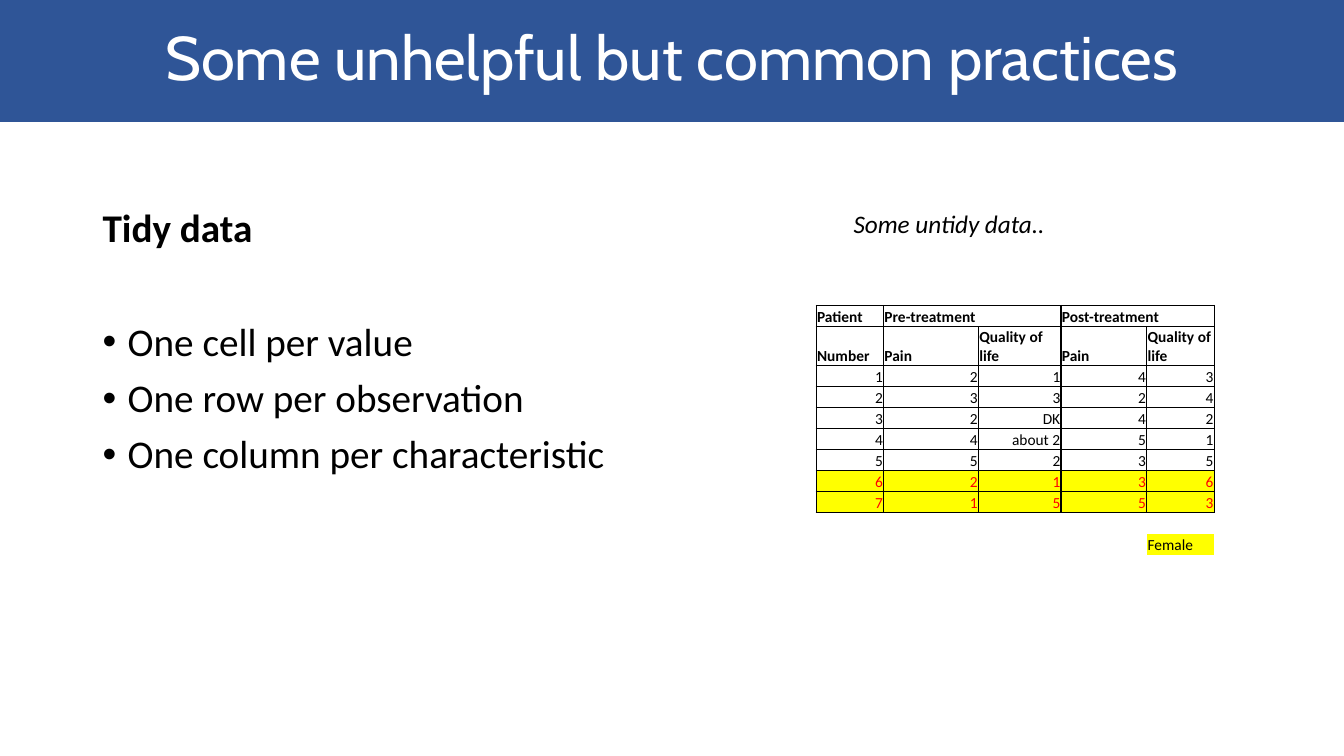
from dataclasses import dataclass

import lxml.etree
import pptx
import pptx.dml.color
import pptx.enum.text
import pptx.oxml.ns
import pptx.util
from pptx.util import Cm, Pt

RGBColor = pptx.dml.color.RGBColor
Align = pptx.enum.text.PP_ALIGN
Anchor = pptx.enum.text.MSO_ANCHOR
AutoSize = pptx.enum.text.MSO_AUTO_SIZE
qn = pptx.oxml.ns.qn

BLUE = RGBColor(0x2F, 0x55, 0x97)
WHITE = RGBColor(0xFF, 0xFF, 0xFF)
BLACK = RGBColor(0, 0, 0)
RED = RGBColor(0xFF, 0, 0)
YELLOW = RGBColor(0xFF, 0xFF, 0)

PLAIN_TABLE_STYLE = "{2D5ABB26-0587-4C30-8999-92F81FD0307C}"
COLUMN_WIDTHS = (1.7, 2.39, 2.08, 2.16, 1.7)
ROW_HEIGHT = 0.53
INSET = 0.02


@dataclass
class TextStyle:
    size: float
    color: RGBColor = BLACK
    font: str = "Calibri"
    bold: bool = False
    italic: bool = False


@dataclass
class TableRow:
    values: tuple[str, ...]
    style: TextStyle
    align: Align = Align.RIGHT
    fill: RGBColor | None = None
    bordered: bool = True


def format_text(para, style: TextStyle) -> None:
    for span in para.runs:
        span.font.name = style.font
        span.font.size = Pt(style.size)
        span.font.bold = style.bold
        span.font.italic = style.italic
        span.font.color.rgb = style.color


def place(shape, left: float, top: float, width: float, height: float) -> None:
    shape.left, shape.top = Cm(left), Cm(top)
    shape.width, shape.height = Cm(width), Cm(height)


def set_bullet(para, bulleted: bool) -> None:
    properties = para._p.get_or_add_pPr()
    indent = Cm(0.635) if bulleted else 0
    properties.set("marL", str(indent))
    properties.set("indent", str(-indent))
    if bulleted:
        lxml.etree.SubElement(properties, qn("a:buFont"), typeface="Arial")
        lxml.etree.SubElement(properties, qn("a:buChar"), char="•")
    else:
        lxml.etree.SubElement(properties, qn("a:buNone"))


def add_borders(cell) -> None:
    properties = cell._tc.get_or_add_tcPr()
    for side in ("a:lnL", "a:lnR", "a:lnT", "a:lnB"):
        line = lxml.etree.SubElement(properties, qn(side), w=str(Pt(1)))
        fill = lxml.etree.SubElement(line, qn("a:solidFill"))
        lxml.etree.SubElement(fill, qn("a:srgbClr"), val=str(BLACK))


def fill_cell(cell, value: str, row: TableRow) -> None:
    cell.margin_left = cell.margin_right = cell.margin_top = Cm(INSET)
    cell.margin_bottom = 0
    cell.vertical_anchor = Anchor.BOTTOM
    if row.bordered:
        add_borders(cell)
    if row.fill is not None and value:
        cell.fill.solid()
        cell.fill.fore_color.rgb = row.fill
    else:
        cell.fill.background()
    para = cell.text_frame.paragraphs[0]
    para.alignment = row.align
    if value:
        para.text = value
        format_text(para, row.style)
    else:
        # Keeps an empty cell as low as the others
        lxml.etree.SubElement(para._p, qn("a:endParaRPr"), sz=str(int(row.style.size * 100)))


def add_patient_table(page, rows: list[TableRow], left: float, top: float) -> None:
    frame = page.shapes.add_table(
        len(rows), len(COLUMN_WIDTHS), Cm(left), Cm(top),
        Cm(sum(COLUMN_WIDTHS)), Cm(ROW_HEIGHT * len(rows)))
    table = frame.table
    table.first_row = table.horz_banding = False
    table._tbl.tblPr.find(qn("a:tableStyleId")).text = PLAIN_TABLE_STYLE
    for column, width in zip(table.columns, COLUMN_WIDTHS):
        column.width = Cm(width)
    for index, row in enumerate(rows):
        table.rows[index].height = Cm(ROW_HEIGHT)
        for column, value in enumerate(row.values):
            fill_cell(table.cell(index, column), value, row)
    # Each treatment heading covers two columns
    for column in (1, 3):
        table.cell(0, column).merge(table.cell(0, column + 1))


def main() -> None:
    deck = pptx.Presentation()
    deck.slide_width, deck.slide_height = Cm(33.87), Cm(19.05)
    page = deck.slides.add_slide(deck.slide_layouts[1])

    # Title band
    title = page.shapes.title
    place(title, 0, 0, 33.87, 3.07)
    title.fill.solid()
    title.fill.fore_color.rgb = BLUE
    title.text_frame.text = "Some unhelpful but common practices"
    title.text_frame.auto_size = AutoSize.NONE
    title.text_frame.vertical_anchor = Anchor.MIDDLE
    heading = title.text_frame.paragraphs[0]
    heading.alignment = Align.CENTER
    heading.line_spacing = 0.9
    format_text(heading, TextStyle(44, WHITE, "Cabin"))

    # Rules of tidy data
    body = page.placeholders[1]
    place(body, 2.33, 5.13, 29.21, 12.09)
    body.text_frame.text = "\n".join((
        "Tidy data", "One cell per value", "One row per observation",
        "One column per characteristic"))
    body.text_frame.auto_size = AutoSize.NONE
    for index, para in enumerate(body.text_frame.paragraphs):
        para.line_spacing = 0.9
        para.space_before = Pt(51 if index == 1 else 10)
        set_bullet(para, index > 0)
        format_text(para, TextStyle(28, bold=index == 0))

    # Untidy example
    header = TextStyle(11, bold=True)
    regular = TextStyle(11)
    marked = TextStyle(11, RED)
    rows = [
        TableRow(("Patient", "Pre-treatment", "", "Post-treatment", ""), header, Align.LEFT),
        TableRow(("Number", "Pain", "Quality of life", "Pain", "Quality of life"),
                 header, Align.LEFT),
        TableRow(("1", "2", "1", "4", "3"), regular),
        TableRow(("2", "3", "3", "2", "4"), regular),
        TableRow(("3", "2", "DK", "4", "2"), regular),
        TableRow(("4", "4", "about 2", "5", "1"), regular),
        TableRow(("5", "5", "2", "3", "5"), regular),
        TableRow(("6", "2", "1", "3", "6"), marked, fill=YELLOW),
        TableRow(("7", "1", "5", "5", "3"), marked, fill=YELLOW),
        TableRow(("",) * 5, regular, bordered=False),
        TableRow(("", "", "", "", "Female"), regular, Align.LEFT, YELLOW, False),
    ]
    add_patient_table(page, rows, 20.57, 7.7)

    # Caption of the example
    caption = page.shapes.add_textbox(Cm(21.26), Cm(5.13), Cm(7.01), Cm(1.02))
    caption.text_frame.word_wrap = True
    caption.text_frame.text = "Some untidy data.."
    format_text(caption.text_frame.paragraphs[0], TextStyle(18, italic=True))

    deck.save("out.pptx")


if __name__ == "__main__":
    main()
